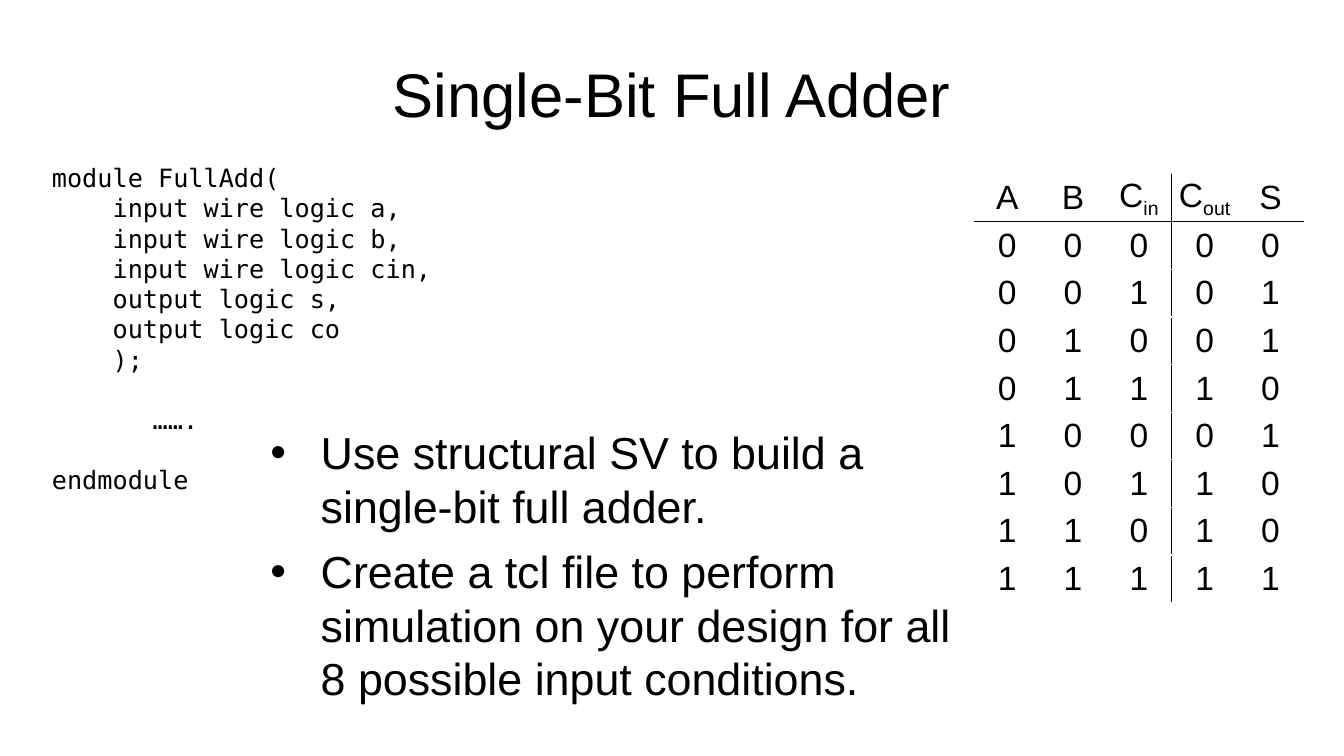
from dataclasses import dataclass

from lxml import etree
from pptx import Presentation
from pptx.dml.color import RGBColor
from pptx.enum.text import MSO_ANCHOR, PP_ALIGN
from pptx.oxml.ns import qn
from pptx.util import Pt

CENTER, LEFT = PP_ALIGN.CENTER, PP_ALIGN.LEFT
TOP, MIDDLE = MSO_ANCHOR.TOP, MSO_ANCHOR.MIDDLE


@dataclass(frozen=True)
class Theme:
    ink: str = "000000"
    paper: str = "FFFFFF"
    font: str = "Arial"
    code_font: str = "DejaVu Sans Mono"
    title_size: int = 44
    body_size: int = 32
    table_size: int = 24
    code_size: int = 18


THEME = Theme()
CODE_INDENT = 43.34
CODE_LINE = 21.3

# Each line: text, left indent, space before
CODE = [
    ("module FullAdd(", 0, 0),
    ("input wire logic a,", CODE_INDENT, 0),
    ("input wire logic b,", CODE_INDENT, 0),
    ("input wire logic cin,", CODE_INDENT, 0),
    ("output logic s,", CODE_INDENT, 0),
    ("output logic co", CODE_INDENT, 0),
    (");", CODE_INDENT, 0),
    ("…….", 72, CODE_LINE),
    ("endmodule", 0, CODE_LINE),
]
BULLETS = [
    "Use structural SV to build a single-bit full adder.",
    "Create a tcl file to perform simulation on your design "
    "for all 8 possible input conditions.",
]
# Each heading: letter, subscript
HEADINGS = [("A", ""), ("B", ""), ("C", "in"), ("C", "out"), ("S", "")]
INPUT_COUNT = 3


def add_run(paragraph, text, size, font=THEME.font, subscript=False):
    run = paragraph.add_run()
    run.text = text
    run.font.size = Pt(size)
    run.font.name = font
    run.font.color.rgb = RGBColor.from_string(THEME.ink)
    if subscript:
        run.font._element.set("baseline", "-25000")


def add_text_frame(slide, left, top, width, height, anchor=TOP):
    box = slide.shapes.add_textbox(Pt(left), Pt(top), Pt(width), Pt(height))
    frame = box.text_frame
    frame.word_wrap = True
    frame.vertical_anchor = anchor
    return frame


def add_paragraph(frame, index, align=LEFT, before=0, indent=0, hanging=0):
    """Return the paragraph at index, reusing the frame's first one."""
    paragraph = frame.add_paragraph() if index else frame.paragraphs[0]
    paragraph.alignment = align
    paragraph.space_before = Pt(before)
    properties = paragraph._p.get_or_add_pPr()
    properties.set("marL", str(Pt(indent)))
    properties.set("indent", str(-Pt(hanging)))
    return paragraph


def add_bullet_mark(paragraph):
    properties = paragraph._p.get_or_add_pPr()
    color = etree.SubElement(properties, qn("a:buClr"))
    etree.SubElement(color, qn("a:srgbClr"), val=THEME.ink)
    etree.SubElement(properties, qn("a:buFont"), typeface=THEME.font)
    etree.SubElement(properties, qn("a:buChar"), char="•")


def add_title(slide, text):
    frame = add_text_frame(slide, 48, 21.6, 864, 90, MIDDLE)
    add_run(add_paragraph(frame, 0, CENTER), text, THEME.title_size)


def add_bullets(slide, items):
    frame = add_text_frame(slide, 186, 300, 510, 210)
    for index, item in enumerate(items):
        paragraph = add_paragraph(frame, index, before=8, indent=36, hanging=36)
        add_bullet_mark(paragraph)
        add_run(paragraph, item, THEME.body_size)


def add_code(slide, lines):
    frame = add_text_frame(slide, 30, 112.5, 348, 247)
    for index, (text, indent, before) in enumerate(lines):
        paragraph = add_paragraph(frame, index, before=before, indent=indent)
        add_run(paragraph, text, THEME.code_size, THEME.code_font)


def set_borders(cell, row, column):
    """Rule off the heading row and the input columns; hide the other edges."""
    ruled = {
        "L": column == INPUT_COUNT,
        "R": column == INPUT_COUNT - 1,
        "T": row == 1,
        "B": row == 0,
    }
    properties = cell._tc.get_or_add_tcPr()
    for side, visible in ruled.items():
        line = etree.SubElement(properties, qn(f"a:ln{side}"), w=str(Pt(1)))
        fill = etree.SubElement(line, qn("a:solidFill"))
        color = THEME.ink if visible else THEME.paper
        etree.SubElement(fill, qn("a:srgbClr"), val=color)


def fill_cell(cell, text, subscript):
    cell.margin_left = cell.margin_right = 0
    cell.margin_top = cell.margin_bottom = 0
    cell.vertical_anchor = MIDDLE
    cell.fill.background()
    paragraph = add_paragraph(cell.text_frame, 0, CENTER)
    add_run(paragraph, text, THEME.table_size)
    if subscript:
        add_run(paragraph, subscript, THEME.table_size, subscript=True)


def truth_rows():
    rows = []
    for number in range(2 ** INPUT_COUNT):
        bits = [int(bit) for bit in f"{number:0{INPUT_COUNT}b}"]
        carry, total = divmod(sum(bits), 2)
        rows.append([(str(bit), "") for bit in [*bits, carry, total]])
    return rows


def add_truth_table(slide):
    rows = [HEADINGS, *truth_rows()]
    frame = slide.shapes.add_table(
        len(rows), len(HEADINGS), Pt(696), Pt(124.5), Pt(235), Pt(306))
    table = frame.table
    table.first_row = table.horz_banding = False
    for row, values in enumerate(rows):
        for column, (text, subscript) in enumerate(values):
            cell = table.cell(row, column)
            set_borders(cell, row, column)
            fill_cell(cell, text, subscript)


def main():
    presentation = Presentation()
    presentation.slide_width, presentation.slide_height = Pt(960), Pt(540)
    slide = presentation.slides.add_slide(presentation.slide_layouts[6])
    add_title(slide, "Single-Bit Full Adder")
    add_bullets(slide, BULLETS)
    add_truth_table(slide)
    add_code(slide, CODE)
    presentation.save("out.pptx")


if __name__ == "__main__":
    main()
